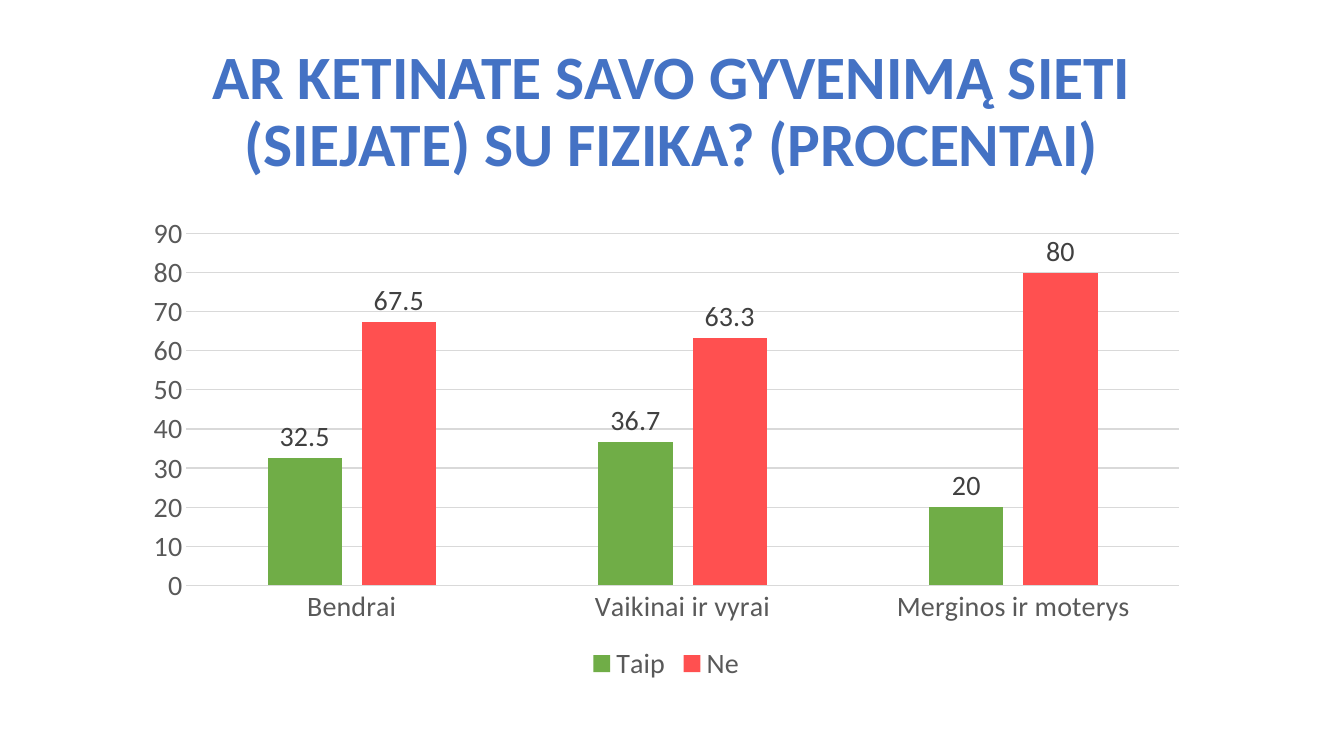
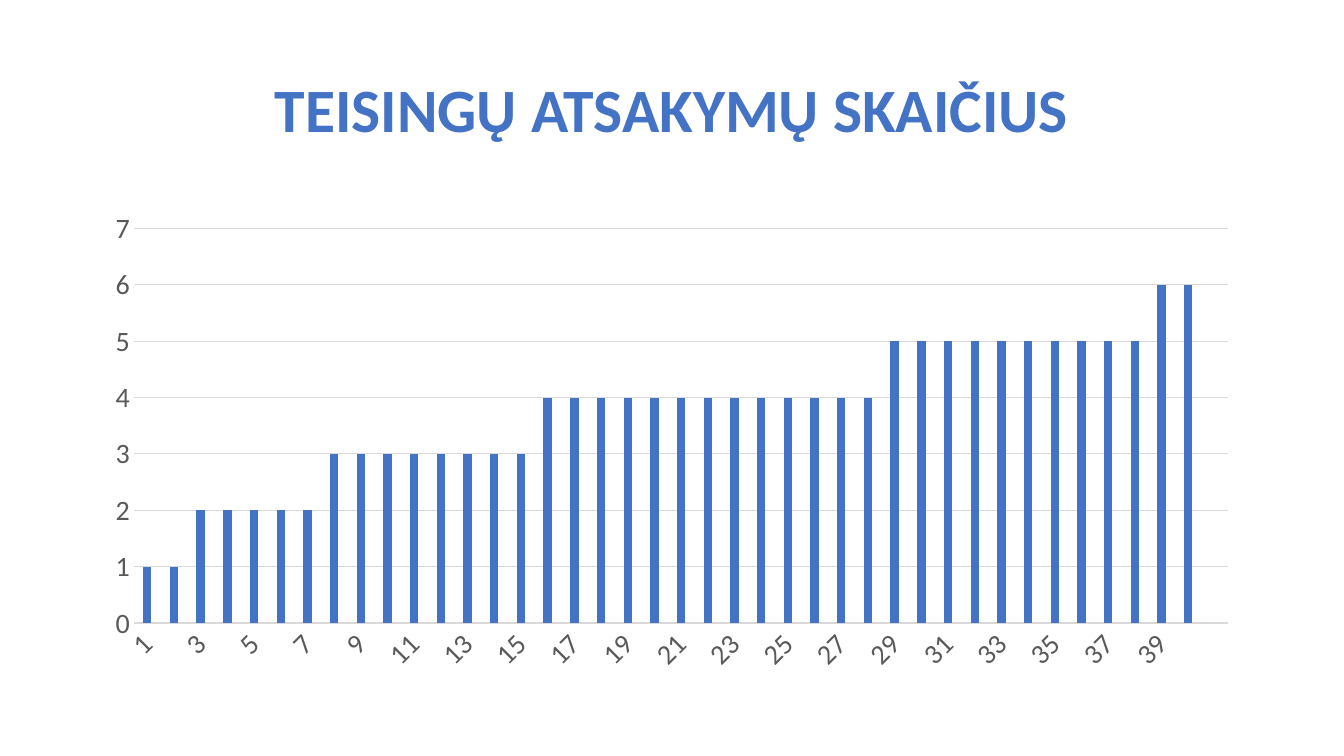
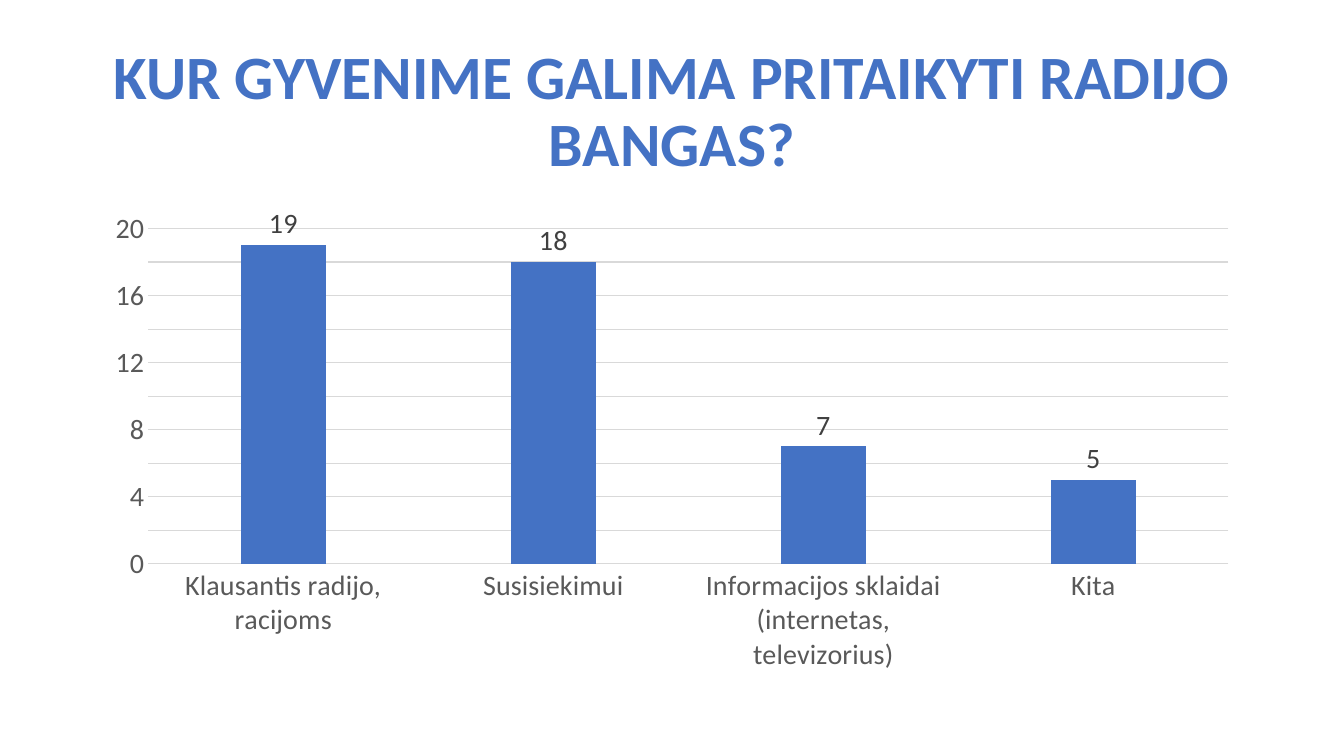
from pptx import Presentation
from pptx.chart.data import CategoryChartData
from pptx.dml.color import RGBColor
from pptx.enum.chart import (XL_CHART_TYPE, XL_LABEL_POSITION as LabelPos,
                             XL_LEGEND_POSITION as LegendPos, XL_TICK_MARK as Tick)
from pptx.enum.text import MSO_ANCHOR, PP_ALIGN
from pptx.util import Pt

PX = 9525  # EMU in one px, 96 px to the inch
FONT = "Calibri"
BLUE = RGBColor(0x44, 0x72, 0xC4)
GREEN = RGBColor(0x70, 0xAD, 0x47)
RED = RGBColor(0xFF, 0x50, 0x50)
AXIS_GREY = RGBColor(0x59, 0x59, 0x59)
LABEL_GREY = RGBColor(0x40, 0x40, 0x40)
GRID_GREY = RGBColor(0xD9, 0xD9, 0xD9)

TITLE_BOX = (88, 38, 1104, 139)
WIDE_BOX = (88, 192, 1104, 457)
NARROW_BOX = (126, 197, 1017, 457)

TITLE_FONT = dict(name=FONT, size=Pt(44), bold=True)
CHART_FONT = dict(name=FONT, size=Pt(20))

# (correct answers, number of people)
SCORES = [(1, 2), (2, 5), (3, 8), (4, 13), (5, 10), (6, 2)]
SCORE_VALUES = [score for score, people in SCORES for _ in range(people)]

SLIDES = [
    dict(title="AR KETINATE SAVO GYVENIMĄ SIETI (SIEJATE) SU FIZIKA? (PROCENTAI)",
         box=NARROW_BOX, top=90, step=10, labels=True, legend=True,
         cats=["Bendrai", "Vaikinai ir vyrai", "Merginos ir moterys"],
         series=[("Taip", [32.5, 36.7, 20], GREEN), ("Ne", [67.5, 63.3, 80], RED)]),
    dict(title="TEISINGŲ ATSAKYMŲ SKAIČIUS",
         box=WIDE_BOX, top=7, step=1, labels=False, legend=False,
         cats=[str(n + 1) for n in range(len(SCORE_VALUES))] + [""],
         series=[("Atsakymai", SCORE_VALUES + [None], BLUE)]),
    dict(title="KUR GYVENIME GALIMA PRITAIKYTI RADIJO BANGAS?",
         box=WIDE_BOX, top=20, step=2, labels=True, legend=False,
         cats=["Klausantis radijo, racijoms", "Susisiekimui",
               "Informacijos sklaidai (internetas, televizorius)", "Kita"],
         series=[("Atsakymai", [19, 18, 7, 5], BLUE)]),
]


def emu(box):
    return [v * PX for v in box]


def set_font(font, formats, color):
    for key, value in formats.items():
        setattr(font, key, value)
    font.color.rgb = color


def add_title(s, text):
    tf = s.shapes.add_textbox(*emu(TITLE_BOX)).text_frame
    tf.word_wrap = True
    tf.vertical_anchor = MSO_ANCHOR.MIDDLE
    p = tf.paragraphs[0]
    p.alignment = PP_ALIGN.CENTER
    p.line_spacing = 0.9
    r = p.add_run()
    r.text = text
    set_font(r.font, TITLE_FONT, BLUE)


def style_axes(chart, top, step):
    cat, val = chart.category_axis, chart.value_axis
    for axis in (cat, val):
        axis.major_tick_mark = axis.minor_tick_mark = Tick.NONE
        set_font(axis.tick_labels.font, CHART_FONT, AXIS_GREY)
    # this angle leaves the rotation of the labels to the renderer
    cat.tick_labels.font._element.getparent().getparent().getparent().bodyPr.set("rot", "-60000000")
    val.minimum_scale, val.maximum_scale, val.major_unit = 0, top, step
    val.format.line.fill.background()
    for line in (cat.format.line, val.major_gridlines.format.line):
        line.color.rgb = GRID_GREY
        line.width = Pt(0.75)


def add_column_chart(s, spec_):
    data = CategoryChartData()
    data.categories = spec_["cats"]
    for name, values, _ in spec_["series"]:
        data.add_series(name, values)
    chart = s.shapes.add_chart(XL_CHART_TYPE.COLUMN_CLUSTERED, *emu(spec_["box"]), data).chart
    set_font(chart.font, CHART_FONT, AXIS_GREY)
    chart.has_title = False
    chart.has_legend = spec_["legend"]
    if spec_["legend"]:
        chart.legend.position = LegendPos.BOTTOM
        chart.legend.include_in_layout = False
        set_font(chart.legend.font, CHART_FONT, AXIS_GREY)
    style_axes(chart, spec_["top"], spec_["step"])

    plot = chart.plots[0]
    plot.gap_width, plot.overlap = 219, -27
    plot.vary_by_categories = False
    for series, (_, _, color) in zip(plot.series, spec_["series"]):
        series.format.fill.solid()
        series.format.fill.fore_color.rgb = color
        series.invert_if_negative = False
        if spec_["labels"]:
            labels = series.data_labels
            labels.show_value = True
            labels.position = LabelPos.OUTSIDE_END
            set_font(labels.font, CHART_FONT, LABEL_GREY)


def main():
    prs = Presentation()
    prs.slide_width, prs.slide_height = 1280 * PX, 720 * PX
    for content in SLIDES:
        s = prs.slides.add_slide(prs.slide_layouts[6])
        add_title(s, content["title"])
        add_column_chart(s, content)
    prs.save("out.pptx")


if __name__ == "__main__":
    main()
